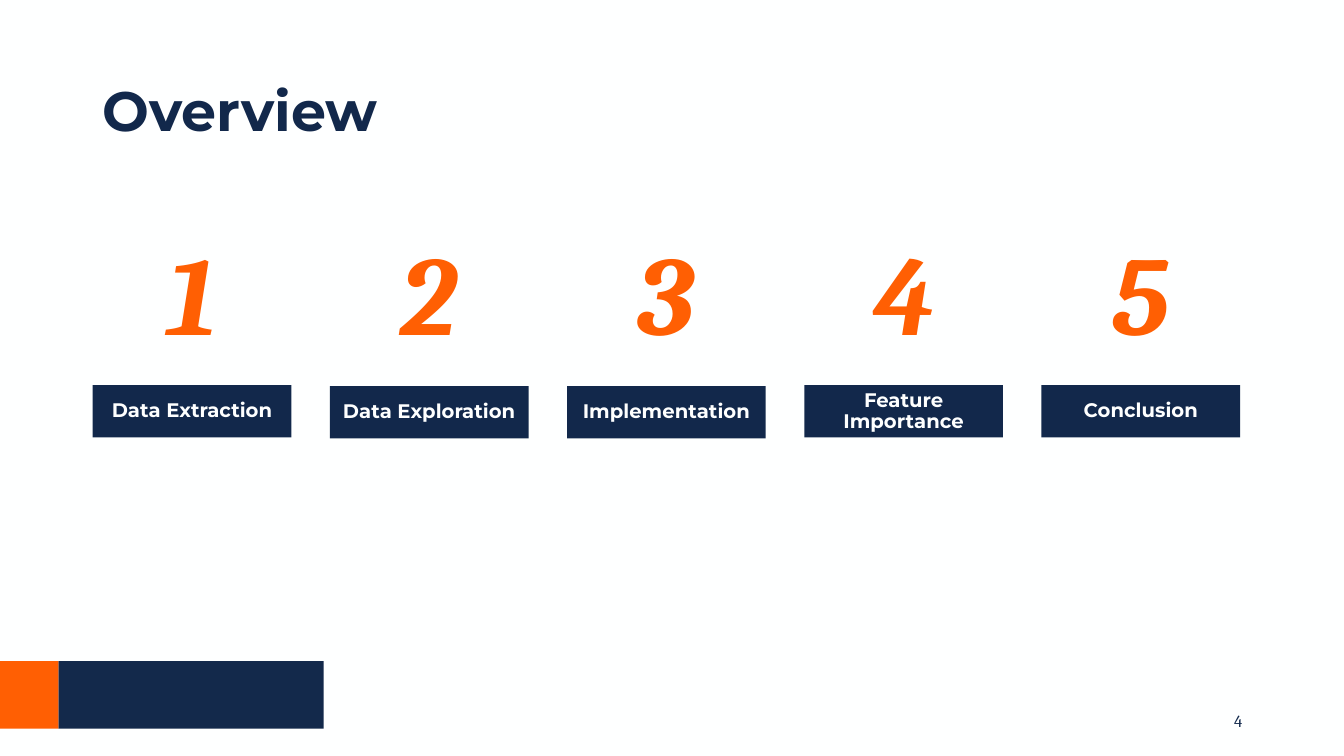
from pptx import Presentation
from pptx.dml.color import RGBColor
from pptx.enum.shapes import MSO_SHAPE
from pptx.enum.text import MSO_ANCHOR, PP_ALIGN
from pptx.util import Inches, Pt

COLORS = {
    "paper": "FEFFFF",
    "navy": "12284B",
    "footer_navy": "13294B",
    "orange": "FF5F03",
}
SLIDE_WIDTH, SLIDE_HEIGHT = 13.33, 7.5
MARGIN = 0.92
COLUMN_WIDTH = 1.97
COLUMN_STEP = 2.3525
NUMBER_SIZE = 1.17
NUMBER_TOP = 2.38
LABEL_HEIGHT = 0.52
FOOTER_TOP, FOOTER_HEIGHT = 6.56, 0.67
FOOTER_SPLIT, FOOTER_END = 0.58, 3.21

SECTIONS = [
    ("Data Extraction", 3.82),
    ("Data Exploration", 3.83),
    ("Implementation", 3.83),
    ("Feature Importance", 3.82),
    ("Conclusion", 3.82),
]


def color(name):
    return RGBColor.from_string(COLORS[name])


def write(shape, text, *, size, font, ink, bold=False, italic=False,
          align=PP_ALIGN.LEFT, spacing=0.9):
    frame = shape.text_frame
    frame.word_wrap = True
    frame.vertical_anchor = MSO_ANCHOR.MIDDLE
    para = frame.paragraphs[0]
    para.alignment = align
    para.line_spacing = spacing
    span = para.add_run()
    span.text = text
    span.font.size = Pt(size)
    span.font.name = font
    span.font.bold = bold
    span.font.italic = italic
    span.font.color.rgb = color(ink)


def add_text(page, left, top, width, height, text, **style):
    box = page.shapes.add_textbox(*map(Inches, (left, top, width, height)))
    write(box, text, **style)


def add_bar(page, left, top, width, height, fill):
    bar = page.shapes.add_shape(
        MSO_SHAPE.RECTANGLE, *map(Inches, (left, top, width, height)))
    bar.shadow.inherit = False
    bar.fill.solid()
    bar.fill.fore_color.rgb = color(fill)
    bar.line.fill.background()
    return bar


def add_section(page, column, label, label_top):
    left = MARGIN + column * COLUMN_STEP
    number_left = left + (COLUMN_WIDTH - NUMBER_SIZE) / 2
    add_text(page, number_left, NUMBER_TOP, NUMBER_SIZE, NUMBER_SIZE,
             str(column + 1), size=80, font="Cambria", ink="orange",
             bold=True, italic=True, align=PP_ALIGN.CENTER)
    bar = add_bar(page, left, label_top, COLUMN_WIDTH, LABEL_HEIGHT, "navy")
    write(bar, label, size=14, font="Montserrat", ink="paper", bold=True,
          align=PP_ALIGN.CENTER)


def add_footer(page):
    add_bar(page, FOOTER_SPLIT, FOOTER_TOP, FOOTER_END - FOOTER_SPLIT,
            FOOTER_HEIGHT, "footer_navy")
    add_bar(page, 0, FOOTER_TOP, FOOTER_SPLIT, FOOTER_HEIGHT, "orange")
    add_text(page, 9.42, 6.95, 3, 0.4, "4", size=12, font="Cambria",
             ink="navy", align=PP_ALIGN.RIGHT, spacing=1.0)


def main():
    deck = Presentation()
    deck.slide_width = Inches(SLIDE_WIDTH)
    deck.slide_height = Inches(SLIDE_HEIGHT)
    page = deck.slides.add_slide(deck.slide_layouts[6])
    page.background.fill.solid()
    page.background.fill.fore_color.rgb = color("paper")
    add_text(page, MARGIN, 0.8, 11.39, 0.66, "Overview", size=39.6,
             font="Montserrat", ink="navy", bold=True)
    for column, (label, label_top) in enumerate(SECTIONS):
        add_section(page, column, label, label_top)
    add_footer(page)
    deck.save("out.pptx")


if __name__ == "__main__":
    main()
